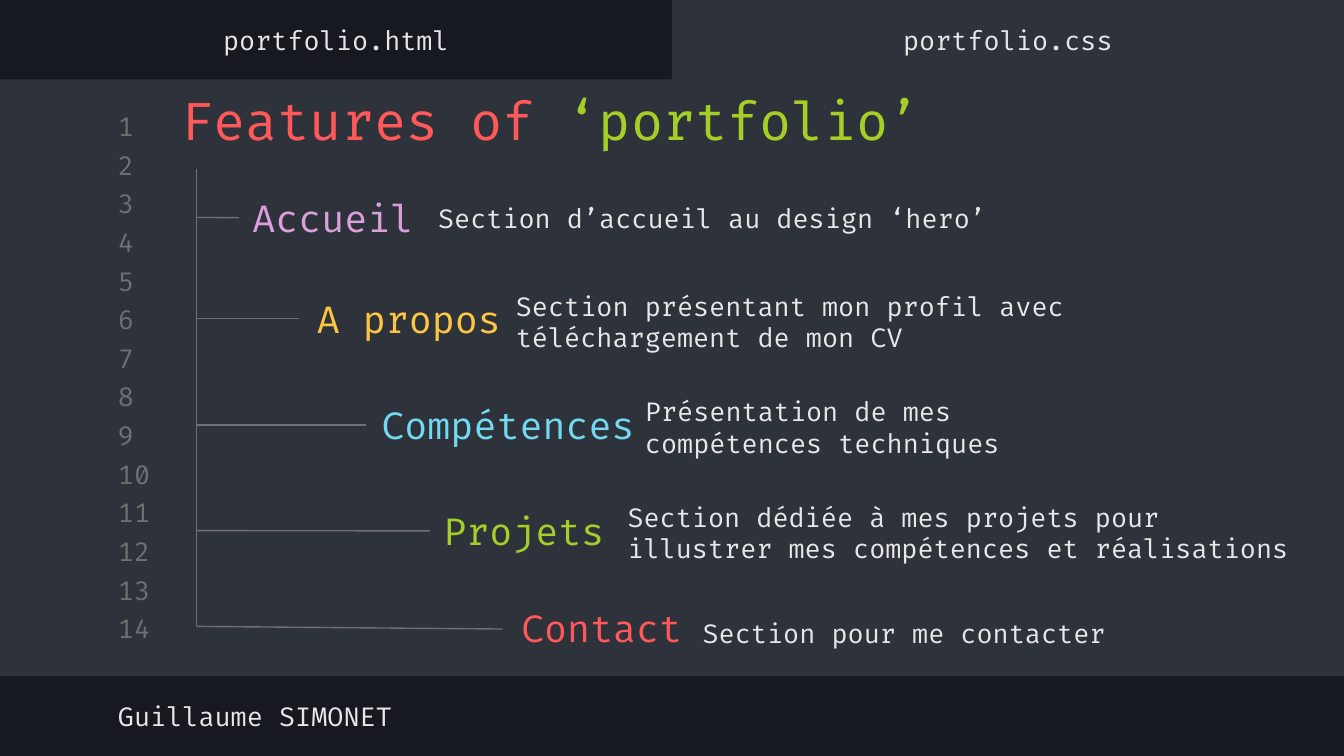
from collections import namedtuple
from dataclasses import dataclass

from lxml import etree
from pptx import Presentation, util as u
from pptx.dml.color import RGBColor
from pptx.enum import shapes, text
from pptx.oxml import ns


@dataclass(frozen=True)
class Theme:
    font: str = "Fira Code"
    dark: str = "16191F"
    panel: str = "2E323B"
    grey: str = "707070"
    white: str = "E7E7E7"
    red: str = "FF5858"
    green: str = "A5CF27"
    purple: str = "DBA0DB"
    yellow: str = "FCC642"
    blue: str = "72D9F0"
    title_size: int = 28
    heading_size: int = 20
    body_size: int = 14


THEME = Theme()
WIDTH, HEIGHT = 25.4, 14.29
MARGIN = 1.98
SECTION_HEIGHT = 1.63
TRUNK_X, TRUNK_TOP, TRUNK_BOTTOM = 3.71, 3.2, 11.84

# Positions in cm; heading and detail are (left, top, width)
Section = namedtuple("Section", "name color heading description detail branch_end")
SECTIONS = [
    Section("Accueil", THEME.purple, (4.52, 3.3, 3.61),
            "Section d’accueil au design ‘hero’", (8.03, 3.3, 11.05), (4.52, 4.11)),
    Section("A propos", THEME.yellow, (5.74, 5.21, 4.01),
            "Section présentant mon profil avec téléchargement de mon CV",
            (9.5, 5.26, 13.08), (5.66, 6.02)),
    Section("Compétences", THEME.blue, (6.96, 7.21, 5.61),
            "Présentation de mes compétences techniques",
            (11.94, 7.26, 9.86), (6.91, 8.03)),
    Section("Projets", THEME.green, (8.13, 9.22, 3.61),
            "Section dédiée à mes projets pour illustrer mes compétences et réalisations",
            (11.61, 9.25, 13.08), (8.13, 10.03)),
    Section("Contact", THEME.red, (9.6, 11.05, 3.61),
            "Section pour me contacter", (13.03, 11.15, 11.05), (9.5, 11.89)),
]


def fill_text(box, spans, size, anchor=text.MSO_ANCHOR.MIDDLE, align=text.PP_ALIGN.LEFT):
    """Write one paragraph of (wording, colour) spans into a box."""
    frame = box.text_frame
    inset = u.Cm(0.25)
    frame_format = {
        "word_wrap": True, "auto_size": text.MSO_AUTO_SIZE.NONE, "vertical_anchor": anchor,
        "margin_left": inset, "margin_right": inset,
        "margin_top": inset, "margin_bottom": inset,
    }
    for name, value in frame_format.items():
        setattr(frame, name, value)
    para = frame.paragraphs[0]
    para.alignment = align
    for wording, color in spans:
        span = para.add_run()
        span.text = wording
        for name, value in {"name": THEME.font, "size": u.Pt(size)}.items():
            setattr(span.font, name, value)
        span.font.color.rgb = RGBColor.from_string(color)


def add_text(page, wording, left, top, width, height,
             color=THEME.white, size=THEME.body_size, align=text.PP_ALIGN.LEFT):
    box = page.shapes.add_textbox(u.Cm(left), u.Cm(top), u.Cm(width), u.Cm(height))
    fill_text(box, [(wording, color)], size, align=align)
    return box


def add_panel(page, left, top, width, height):
    panel = page.shapes.add_shape(shapes.MSO_SHAPE.RECTANGLE,
                                  u.Cm(left), u.Cm(top), u.Cm(width), u.Cm(height))
    panel.shadow.inherit = False
    panel.fill.solid()
    panel.fill.fore_color.rgb = RGBColor.from_string(THEME.panel)
    panel.line.fill.background()


def add_line(page, start, end):
    line = page.shapes.add_connector(shapes.MSO_CONNECTOR.STRAIGHT,
                                     *(u.Cm(value) for value in (*start, *end)))
    line.line.color.rgb = RGBColor.from_string(THEME.grey)
    line.line.width = u.Pt(0.75)
    etree.SubElement(line._element.spPr, ns.qn("a:effectLst"))
    return line


def set_title(page):
    title = page.shapes.title
    place = {"left": 3.18, "top": 1.42, "width": 20.24, "height": 1.5}
    for name, value in place.items():
        setattr(title, name, u.Cm(value))
    fill_text(title, [("Features of ", THEME.red), ("‘portfolio’", THEME.green)],
              THEME.title_size, anchor=text.MSO_ANCHOR.TOP)


def add_line_numbers(page, count=14, top=2.08, pitch=0.73):
    for index in range(count):
        add_text(page, str(index + 1), MARGIN, top + index * pitch, 1.19, 0.61,
                 color=THEME.grey)


def add_section(page, section):
    left, top, width = section.heading
    heading = add_text(page, section.name, left, top, width, SECTION_HEIGHT,
                       color=section.color, size=THEME.heading_size)
    add_text(page, section.description, *section.detail, SECTION_HEIGHT)

    end_x, end_y = section.branch_end
    branch = add_line(page, (TRUNK_X, min(end_y, TRUNK_BOTTOM)), (end_x, end_y))
    if end_x == left:
        branch.end_connect(heading, 1)


def main():
    deck = Presentation()
    deck.slide_width, deck.slide_height = u.Cm(WIDTH), u.Cm(HEIGHT)
    page = deck.slides.add_slide(deck.slide_layouts[5])

    # Editor window: dark frame, body and active tab
    page.background.fill.solid()
    page.background.fill.fore_color.rgb = RGBColor.from_string(THEME.dark)
    add_panel(page, 0, 1.5, WIDTH, 11.28)
    add_panel(page, WIDTH / 2, 0, WIDTH / 2, 1.65)

    # Tab names and author
    for index, name in enumerate(("portfolio.html", "portfolio.css")):
        add_text(page, name, index * WIDTH / 2, 0.25, WIDTH / 2, 1,
                 align=text.PP_ALIGN.CENTER)
    add_text(page, "Guillaume SIMONET", MARGIN, 13.03, 13.5, 1)

    # Title, raised above the panels
    set_title(page)
    page.shapes._spTree.append(page.shapes.title._element)
    add_line_numbers(page)

    # Tree of sections
    add_line(page, (TRUNK_X, TRUNK_TOP), (TRUNK_X, TRUNK_BOTTOM))
    for section in SECTIONS:
        add_section(page, section)

    deck.save("out.pptx")


if __name__ == "__main__":
    main()
